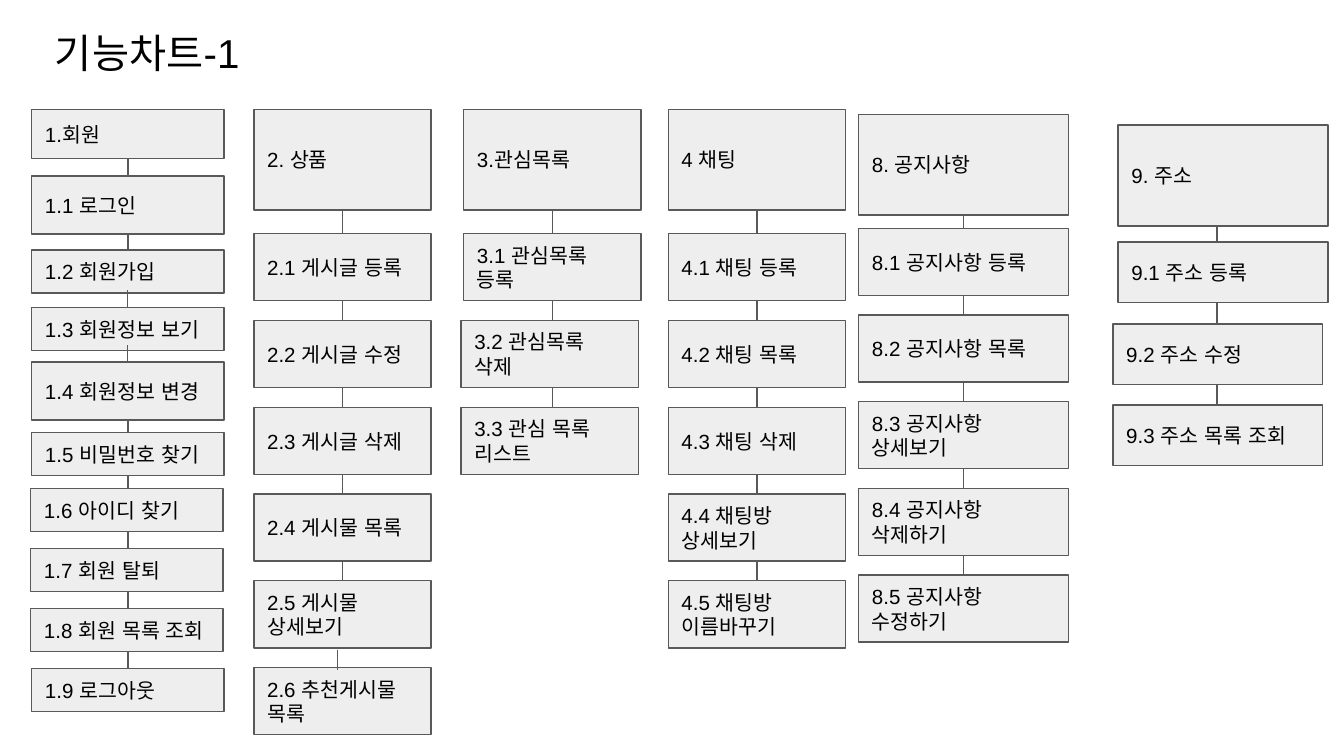
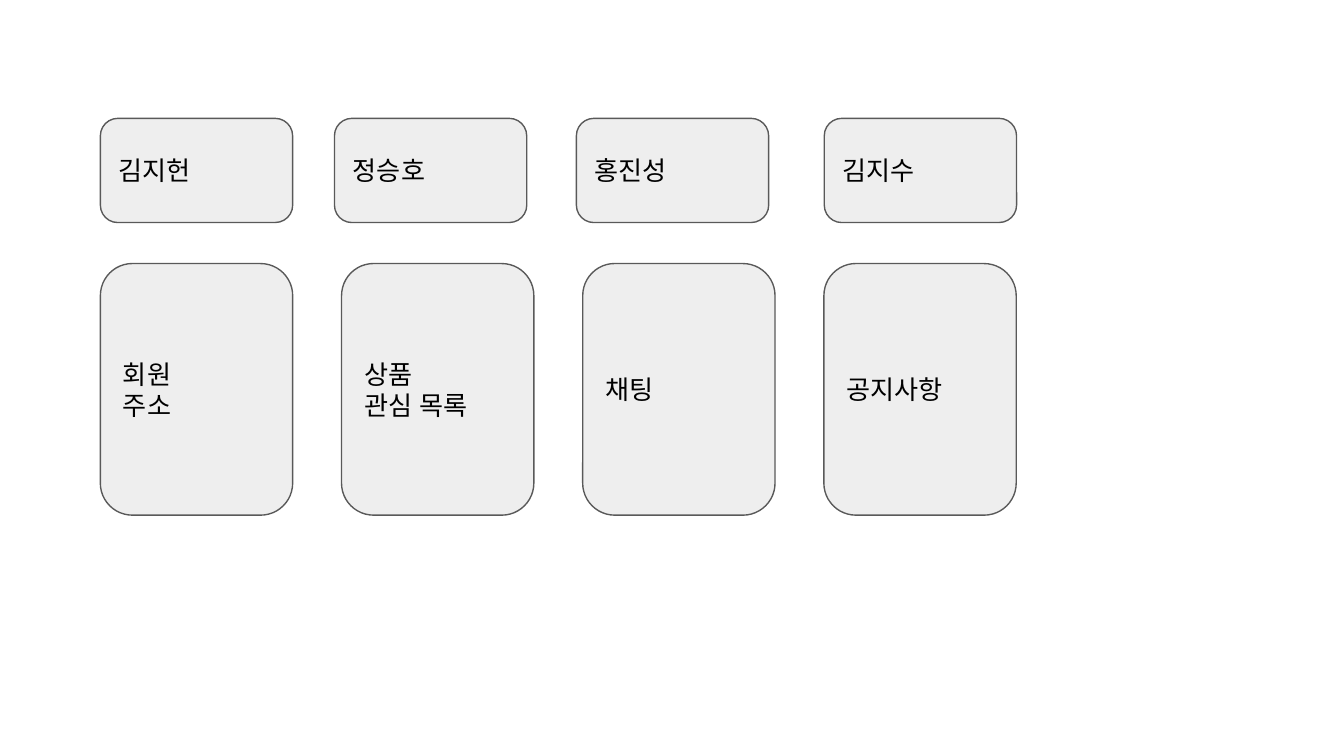
"""Build the two function chart slides."""
import pptx
import pptx.util
import pptx.dml.color
import pptx.enum.shapes
import pptx.enum.text
import pptx.oxml
import pptx.oxml.ns

Pt = pptx.util.Pt
Shape = pptx.enum.shapes.MSO_SHAPE
Anchor = pptx.enum.text.MSO_ANCHOR
Align = pptx.enum.text.PP_ALIGN


def color(code):
    return pptx.dml.color.RGBColor.from_string(code)


class Deck:
    font = "Arial"
    ink = "000000"
    fill = "EEEEEE"
    edge = "595959"
    inset = 7.2

    def __init__(self):
        self.file = pptx.Presentation()
        self.file.slide_width = Pt(720)
        self.file.slide_height = Pt(405)
        self.slide = None

    def page(self, layout):
        self.slide = self.file.slides.add_slide(self.file.slide_layouts[layout])

    def label(self, shape, lines, size, align, anchor):
        frame = shape.text_frame
        frame.word_wrap = True
        frame.auto_size = pptx.enum.text.MSO_AUTO_SIZE.NONE
        frame.vertical_anchor = anchor
        frame.margin_left = frame.margin_right = Pt(self.inset)
        frame.margin_top = frame.margin_bottom = Pt(self.inset)
        for row, line in enumerate(lines):
            para = frame.add_paragraph() if row else frame.paragraphs[0]
            para.alignment = align
            run = para.add_run()
            run.text = line
            run.font.size = Pt(size)
            run.font.name = self.font
            run.font.color.rgb = color(self.ink)
            east = pptx.oxml.parse_xml(
                f'<a:ea {pptx.oxml.ns.nsdecls("a")} typeface="{self.font}"/>')
            run.font._element.append(east)

    def title(self, text, left, top, width, height):
        shape = self.slide.shapes.title
        shape.left, shape.top = Pt(left), Pt(top)
        shape.width, shape.height = Pt(width), Pt(height)
        self.label(shape, [text], 21.6, Align.CENTER, Anchor.BOTTOM)

    def box(self, lines, left, top, width, height, size=11, kind=Shape.RECTANGLE):
        shape = self.slide.shapes.add_shape(
            kind, Pt(left), Pt(top), Pt(width), Pt(height))
        shape.shadow.inherit = False
        shape.fill.solid()
        shape.fill.fore_color.rgb = color(self.fill)
        shape.line.color.rgb = color(self.edge)
        shape.line.width = Pt(0.75)
        self.label(shape, lines, size, Align.LEFT, Anchor.MIDDLE)

    def link(self, left, top, low):
        line = self.slide.shapes.add_connector(
            pptx.enum.shapes.MSO_CONNECTOR.STRAIGHT,
            Pt(left), Pt(top), Pt(left), Pt(low))
        line.line.color.rgb = color(self.edge)
        line.line.width = Pt(0.75)
        line._element.spPr.append(pptx.oxml.parse_xml(
            f'<a:effectLst {pptx.oxml.ns.nsdecls("a")}/>'))

    def chain(self, names, left, width, spans, moves=None, links=None):
        for row, (name, (top, height)) in enumerate(zip(names, spans)):
            shift = (moves or {}).get(row, 0)
            self.box([name], left + shift, top, width, height)
        axis = left + width / 2
        for row in range(len(names) - 1):
            top, height = spans[row]
            ends = (axis, top + height, spans[row + 1][0])
            self.link(*(links or {}).get(row, ends))


def ladder(head, first, step, height, count):
    return [(head, 54)] + [(first + step * row, height) for row in range(count - 1)]


def chart(deck):
    deck.page(5)
    deck.title("기능차트-1", 16.6, 12.2, 124.6, 36)

    member = ["1.회원", "1.1 로그인", "1.2 회원가입", "1.3 회원정보 보기",
              "1.4 회원정보 변경", "1.5 비밀번호 찾기", "1.6 아이디 찾기",
              "1.7 회원 탈퇴", "1.8 회원 목록 조회", "1.9 로그아웃"]
    spans = [(58.6, 26.4), (94.3, 31), (134, 23), (164.8, 23), (194, 31),
             (231.8, 23), (261.8, 23), (294, 23), (326, 23), (358.2, 23)]
    deck.chain(member, 17, 103, spans, {6: -0.5, 7: -0.5, 8: -0.5},
               {2: (68.4, 155.5, 164.8), 3: (68.4, 185, 194)})

    goods = ["2. 상품", "2.1 게시글 등록", "2.2 게시글 수정", "2.3 게시글 삭제",
             "2.4 게시물 목록", "2.5 게시물 상세보기", "2.6 추천게시물 목록"]
    likes = ["3.관심목록", "3.1 관심목록 등록", "3.2 관심목록 삭제",
             "3.3 관심 목록 리스트"]
    chat = ["4 채팅", "4.1 채팅 등록", "4.2 채팅 목록", "4.3 채팅 삭제",
            "4.4 채팅방 상세보기", "4.5 채팅방 이름바꾸기"]
    steps = ladder(58.6, 125.2, 46.5, 36, len(goods))
    deck.chain(goods, 136, 95, steps, links={5: (180.7, 348.5, 359.2)})
    deck.chain(likes, 248.4, 95, steps, {2: -1.4, 3: -1.4})
    deck.chain(chat, 358, 95, steps)

    news = ["8. 공지사항", "8.1 공지사항 등록", "8.2 공지사항 목록",
            "8.3 공지사항 상세보기", "8.4 공지사항 삭제하기", "8.5 공지사항 수정하기"]
    deck.chain(news, 460, 112.4, ladder(61.2, 122.4, 46.4, 36, len(news)))

    place = ["9. 주소", "9.1 주소 등록", "9.2 주소 수정", "9.3 주소 목록 조회"]
    spans = [(67, 54), (129.7, 32.4), (173.5, 32.4), (217, 32.4)]
    axis = 652
    deck.chain(place, 599, 112.4, spans, {2: -2.8, 3: -2.8},
               {0: (axis, 121, 129.7), 1: (axis, 162.1, 173.5),
                2: (axis, 205.9, 217)})


def team(deck):
    deck.page(6)
    people = [("김지헌", 53.8), ("정승호", 179.2), ("홍진성", 308.8), ("김지수", 441.6)]
    for name, left in people:
        deck.box([name], left, 63.4, 103, 55.8, 14, Shape.ROUNDED_RECTANGLE)
    tasks = [["회원", "주소"], ["상품", "관심 목록"], ["채팅"], ["공지사항"]]
    for col, lines in enumerate(tasks):
        deck.box(lines, 53.8 + 129.2 * col, 141.2, 103, 134.8, 14,
                 Shape.ROUNDED_RECTANGLE)


def main():
    deck = Deck()
    chart(deck)
    team(deck)
    deck.file.save("out.pptx")


if __name__ == "__main__":
    main()
